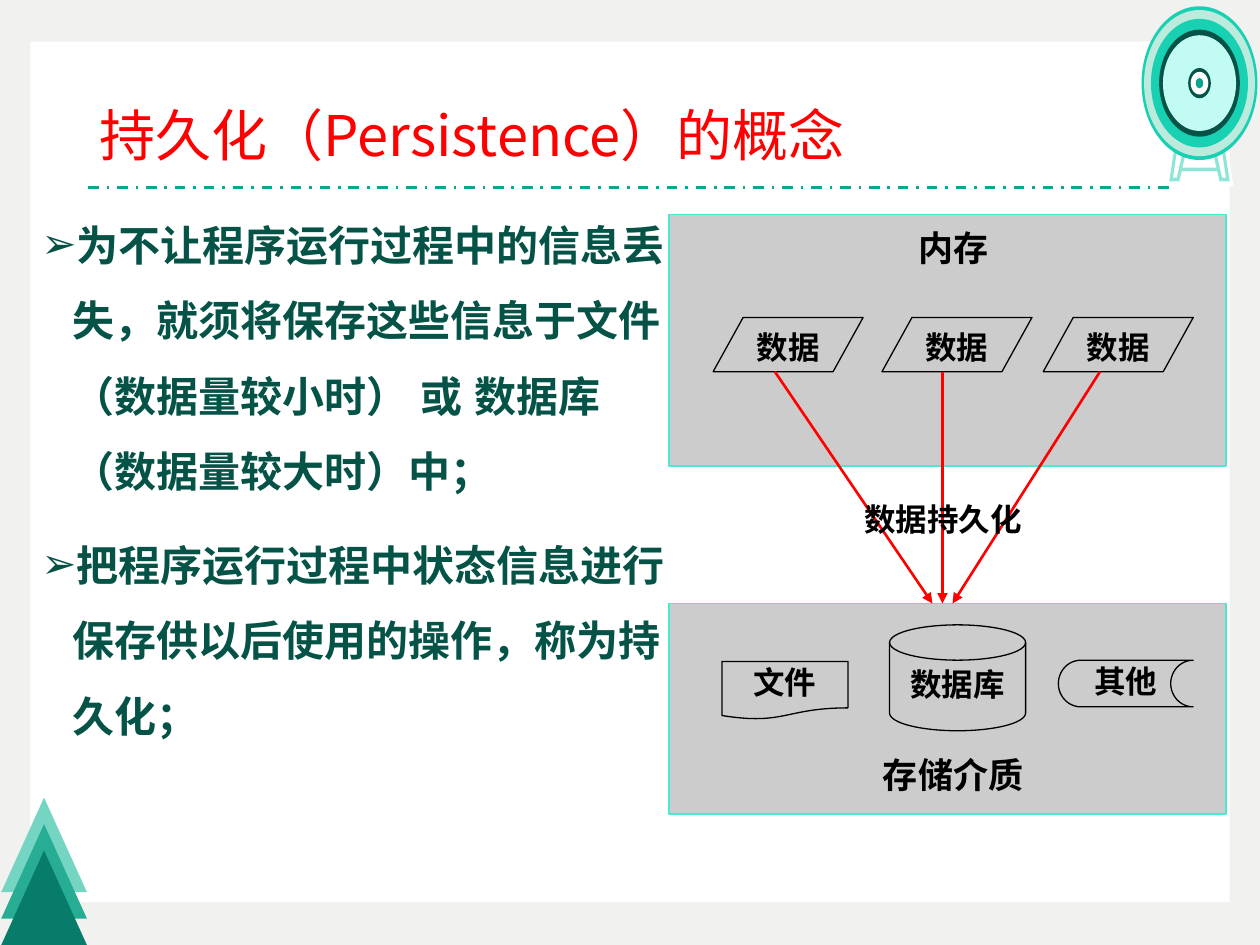
from lxml import etree
from pptx import Presentation, util as u
from pptx.dml.color import RGBColor
from pptx.enum import dml, shapes, text
from pptx.oxml import ns

KIND = shapes.MSO_SHAPE
TITLE = "持久化（Persistence）的概念"
POINTS = [
    "为不让程序运行过程中的信息丢失，就须将保存这些信息于文件（数据量较小时） 或 数据库（数据量较大时）中；",
    "把程序运行过程中状态信息进行保存供以后使用的操作，称为持久化；",
]
TITLE_FORMAT = {"size": u.Pt(32), "name": "Noto Sans CJK SC", "color": "FF0000", "bold": False}
BODY_FORMAT = {"size": u.Pt(24), "name": "Arial", "color": "055347", "bold": True}
LABEL_FORMAT = {"size": u.Pt(18), "name": "Vollkorn", "color": "000000", "bold": True}
HEADING_FORMAT = {**LABEL_FORMAT, "size": u.Pt(20)}

TARGET_CENTER = (9.52, 0.66)
TARGET_RINGS = [
    (0.92, 1.22, "18D0B2"), (0.88, 1.16, "BCEBDD"), (0.77, 1.02, "18D0B2"),
    (0.64, 0.85, "055347"), (0.58, 0.76, "C1FBF1"), (0.18, 0.24, "055347"),
    (0.14, 0.18, "FFFFFF"), (0.06, 0.08, "0BA68D"),
]
TARGET_LEGS = [
    (9.52, "FFFFFF", [[(9.52, 0.48), (9.69, 1.25), (9.75, 1.25), (9.63, 0.48)]]),
    (9.56, "FFFFFF", [[(9.56, 0.71), (9.73, 1.48), (9.79, 1.48), (9.67, 0.71)]]),
    (9.52, "8FE6D6", [[(9.76, 1.44), (9.68, 1.44), (9.5, 0.65), (9.64, 0.65)],
                      [(9.7, 1.41), (9.73, 1.41), (9.62, 0.67), (9.53, 0.67)]]),
]
TREE_COLORS = ["75D5C3", "27AD94", "087C6A"]
PANELS = [(1.7, 2), (4.79, 1.67)]
DATA_LEFTS = [5.66, 7, 8.28]
STORES = [
    ("数据库", KIND.FLOWCHART_MAGNETIC_DISK, (7.06, 4.96, 1.08, 0.84)),
    ("文件", KIND.FLOWCHART_DOCUMENT, (5.73, 5.25, 1, 0.46)),
    ("其他", KIND.FLOWCHART_STORED_DATA, (8.4, 5.24, 1.07, 0.37)),
]
ARROWS = [(6.15, 7.4), (7.48, 7.48), (8.73, 7.56)]
CAPTIONS = [
    ("内存", (6.4, 1.79, 2.33, 0.4), HEADING_FORMAT),
    ("存储介质", (6.4, 5.97, 2.33, 0.4), HEADING_FORMAT),
    ("数据持久化", (6.4, 3.95, 2.17, 0.37), LABEL_FORMAT),
]


def color(value):
    return RGBColor.from_string(value)


def inches(values):
    return [u.Inches(value) for value in values]


def paint(shape, fill=None, line=None):
    shape.shadow.inherit = False
    if fill:
        shape.fill.solid()
        shape.fill.fore_color.rgb = color(fill)
    else:
        shape.fill.background()
    if line:
        shape.line.color.rgb = color(line)
        shape.line.width = u.Pt(0.75)
    else:
        shape.line.fill.background()


def add_figure(slide, kind, box, fill=None, line=None):
    shape = slide.shapes.add_shape(kind, *inches(box))
    paint(shape, fill, line)
    return shape


def add_polygon(slide, contours, fill):
    scaled = [[(x * 100, y * 100) for x, y in contour] for contour in contours]
    builder = slide.shapes.build_freeform(*scaled[0][0], scale=9144)
    builder.add_line_segments(scaled[0][1:], close=True)
    for contour in scaled[1:]:
        builder.move_to(*contour[0])
        builder.add_line_segments(contour[1:], close=True)
    paint(builder.convert_to_shape(), fill)


def add_line(slide, start, end, value):
    line = slide.shapes.add_connector(
        shapes.MSO_CONNECTOR.STRAIGHT, *inches(start + end))
    line.line.color.rgb = color(value)
    line.line.width = u.Pt(1.5)
    etree.SubElement(line._element.spPr, ns.qn("a:effectLst"))
    return line


def write(shape, lines, style, spacing, align, anchor, wrap=True):
    frame = shape.text_frame
    frame.word_wrap = wrap
    frame.vertical_anchor = anchor
    frame.auto_size = text.MSO_AUTO_SIZE.NONE
    for side in ("left", "right", "top", "bottom"):
        inset = 0.1 if side in ("left", "right") else 0.05
        setattr(frame, "margin_" + side, u.Inches(inset))
    for index, line in enumerate(lines):
        paragraph = frame.add_paragraph() if index else frame.paragraphs[0]
        paragraph.alignment = align
        paragraph.line_spacing = spacing
        run = paragraph.add_run()
        run.text = line
        for key, value in style.items():
            if key == "color":
                run.font.color.rgb = color(value)
            else:
                setattr(run.font, key, value)
        east_asian = etree.SubElement(run._r.get_or_add_rPr(), ns.qn("a:ea"))
        east_asian.set("typeface", style["name"])
    return frame


def add_bullet(paragraph):
    paragraph.space_before = u.Pt(10)
    properties = paragraph._p.get_or_add_pPr()
    properties.set("marL", str(u.Inches(0.25)))
    properties.set("indent", str(u.Inches(-0.25)))
    etree.SubElement(properties, ns.qn("a:buFont")).set("typeface", "Arial")
    etree.SubElement(properties, ns.qn("a:buChar")).set("char", "➢")


def add_scenery(slide):
    add_figure(slide, KIND.RECTANGLE, (0.24, 0.33, 9.52, 6.83), "FFFFFF")
    for axis, fill, contours in TARGET_LEGS:
        mirrored = [[(2 * axis - x, y) for x, y in contour] for contour in contours]
        for outline in (contours, mirrored):
            add_polygon(slide, outline, fill)
    add_figure(slide, KIND.RECTANGLE, (9.37, 1.33, 0.3, 0.03), "8FE6D6")
    center_x, center_y = TARGET_CENTER
    for width, height, fill in TARGET_RINGS:
        box = (center_x - width / 2, center_y - height / 2, width, height)
        add_figure(slide, KIND.OVAL, box, fill)
    for index, fill in enumerate(TREE_COLORS):
        box = (0.01, 6.33 + 0.21 * index, 0.68, 0.75)
        add_figure(slide, KIND.ISOSCELES_TRIANGLE, box, fill)
    rule = add_line(slide, (0.7, 1.49), (9.29, 1.49), "0BA68D")
    rule.line.dash_style = dml.MSO_LINE.DASH_DOT


def add_diagram(slide):
    center, middle = text.PP_ALIGN.CENTER, text.MSO_ANCHOR.MIDDLE
    for top, height in PANELS:
        add_figure(slide, KIND.RECTANGLE, (5.31, top, 4.42, height), "CCCCCC", "4BEAD0")
    for left in DATA_LEFTS:
        shape = add_figure(slide, KIND.FLOWCHART_DATA, (left, 2.52, 1.19, 0.43), line="000000")
        write(shape, ["数据"], LABEL_FORMAT, 1.1, center, middle, False)
    for label, kind, box in STORES:
        shape = add_figure(slide, kind, box, line="000000")
        write(shape, [label], LABEL_FORMAT, 0.9, center, middle, label != "其他")
    for start, end in ARROWS:
        arrow = add_line(slide, (start, 2.95), (end, 4.79), "FF0000")
        tail = etree.SubElement(arrow.line._get_or_add_ln(), ns.qn("a:tailEnd"))
        tail.set("type", "triangle")
    for label, box, style in CAPTIONS:
        caption = slide.shapes.add_textbox(*inches(box))
        write(caption, [label], style, 0.9, center, text.MSO_ANCHOR.TOP)


def main():
    presentation = Presentation()
    presentation.slide_width, presentation.slide_height = inches((10, 7.5))
    slide = presentation.slides.add_slide(presentation.slide_layouts[5])
    slide.background.fill.solid()
    slide.background.fill.fore_color.rgb = color("F1F1EF")
    add_scenery(slide)

    title = slide.shapes.title
    slide.shapes._spTree.append(title._element)
    title.left, title.top, title.width, title.height = inches((0.69, 0.7, 8.45, 0.79))
    left = text.PP_ALIGN.LEFT
    write(title, [TITLE], TITLE_FORMAT, 0.9, left, text.MSO_ANCHOR.MIDDLE)

    body = slide.shapes.add_textbox(*inches((0.23, 1.49, 5.22, 5.33)))
    frame = write(body, POINTS, BODY_FORMAT, 1.5, left, text.MSO_ANCHOR.TOP)
    for paragraph in frame.paragraphs:
        add_bullet(paragraph)
    add_diagram(slide)
    presentation.save("out.pptx")


if __name__ == "__main__":
    main()
